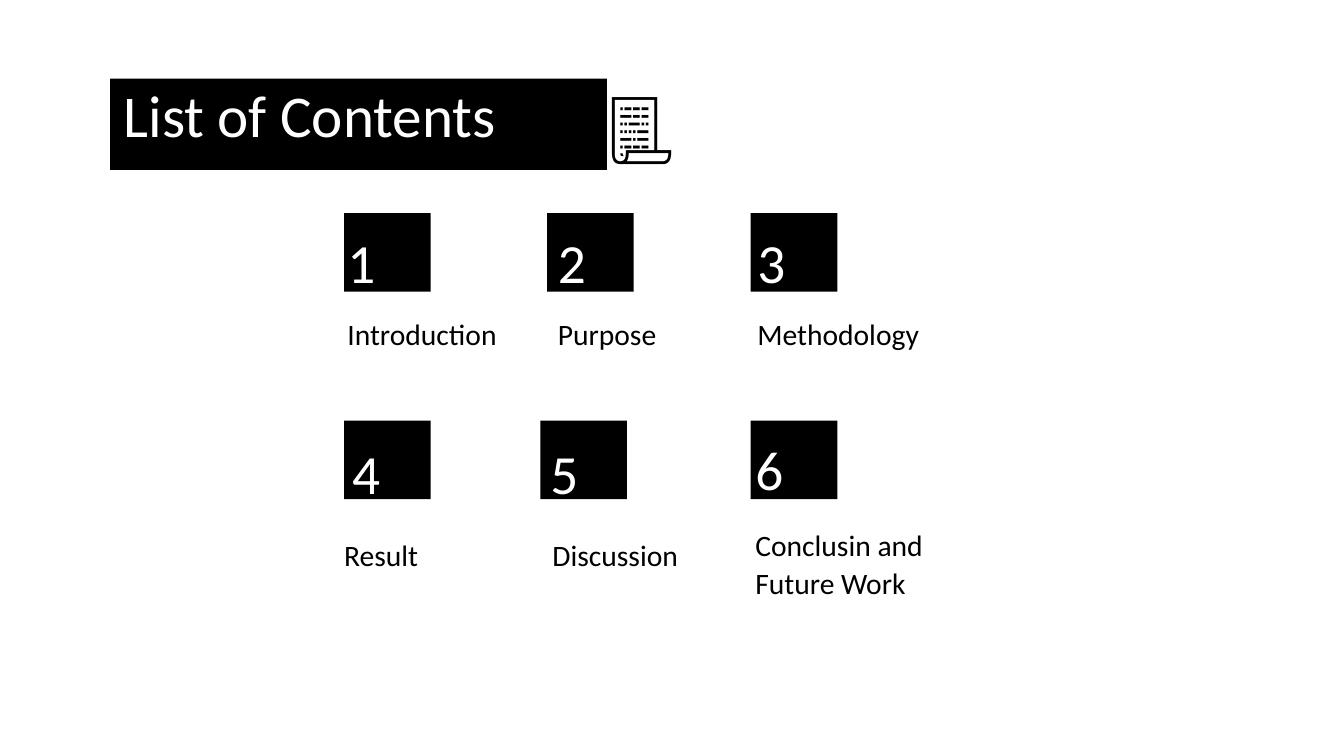
import pptx
import pptx.dml.color
import pptx.enum.shapes
import pptx.enum.text
import pptx.util
from pptx.util import Inches

COLORS = {"ink": "000000", "paper": "FFFFFF"}
FONT = "Calibri"
TILE_SIZE = (1.29, 1.17)

ENTRIES = [
    {"tile": (5.12, 3.17), "number": (0.05, 0.14, 2.72, 1.03),
     "label": (0.05, 1.48, 2.72, 0.53), "lines": ["Introduction"]},
    {"tile": (8.14, 3.17), "number": (0.16, 0.14, 3.38, 1.03),
     "label": (0.16, 1.48, 3.38, 0.53), "lines": ["Purpose"]},
    {"tile": (11.17, 3.17), "number": (0.1, 0.14, 3.2, 1.03),
     "label": (0.1, 1.48, 3.2, 0.53), "lines": ["Methodology"]},
    {"tile": (5.12, 6.26), "number": (0.12, 0.2, 3.2, 1.04),
     "label": (0, 1.68, 3.2, 0.53), "lines": ["Result"]},
    {"tile": (8.04, 6.26), "number": (0.15, 0.2, 1.81, 1.04),
     "label": (0.18, 1.68, 3.2, 0.53), "lines": ["Discussion"]},
    {"tile": (11.17, 6.26), "number": (0.07, 0.13, 1.81, 1.04),
     "label": (0.07, 1.53, 6.79, 1.11), "lines": ["Conclusin and", "Future Work"]},
]


def rgb(name):
    """Return the palette colour with the given name."""
    return pptx.dml.color.RGBColor.from_string(COLORS[name])


def add_block(slide, left, top, width, height):
    """Draw a plain black rectangle."""
    block = slide.shapes.add_shape(
        pptx.enum.shapes.MSO_SHAPE.RECTANGLE,
        Inches(left), Inches(top), Inches(width), Inches(height))
    block.shadow.inherit = False
    block.fill.solid()
    block.fill.fore_color.rgb = rgb("ink")
    block.line.fill.background()


def write(frame, lines, size, leading, color, align=pptx.enum.text.PP_ALIGN.LEFT):
    """Fill a text frame with lines in one style and no margins."""
    frame.text = "\n".join(lines)
    frame.word_wrap = True
    frame.auto_size = pptx.enum.text.MSO_AUTO_SIZE.SHAPE_TO_FIT_TEXT
    frame.vertical_anchor = pptx.enum.text.MSO_ANCHOR.TOP
    frame.margin_left = frame.margin_right = 0
    frame.margin_top = frame.margin_bottom = 0
    for paragraph in frame.paragraphs:
        paragraph.alignment = align
        paragraph.line_spacing = pptx.util.Pt(leading)
        paragraph.space_before = pptx.util.Pt(0)
        paragraph.font.name = FONT
        paragraph.font.size = pptx.util.Pt(size)
        paragraph.font.color.rgb = rgb(color)


def add_text(slide, left, top, width, height, *style):
    """Add a styled text box."""
    box = slide.shapes.add_textbox(
        Inches(left), Inches(top), Inches(width), Inches(height))
    write(box.text_frame, *style)


def add_header(slide, left, top, width, height):
    """Place the black banner, the title on it and the scroll symbol beside it."""
    add_block(slide, left, top, width, height)
    title = slide.shapes.title
    slide.shapes._spTree.append(title._element)
    title.left, title.top = Inches(left + 0.2), Inches(top)
    title.width, title.height = Inches(8.16), Inches(1.05)
    write(title.text_frame, ["List of Contents"], 63.4, 76, "paper")
    add_text(slide, left + 6.92, top - 0.08, 1.75, 1.34,
             [" 📃"], 76.7, 99.7, "ink", pptx.enum.text.PP_ALIGN.CENTER)


def add_entry(slide, left, top, number, entry):
    """Place one numbered tile with its label below."""
    add_block(slide, left, top, *TILE_SIZE)
    x, y, width, height = entry["number"]
    add_text(slide, left + x, top + y, width, height, [str(number)], 59.2, 77, "paper")
    x, y, width, height = entry["label"]
    add_text(slide, left + x, top + y, width, height, entry["lines"], 31.7, 41.3, "ink")


def main():
    """Build the contents slide and save it."""
    deck = pptx.Presentation()
    deck.slide_width, deck.slide_height = Inches(20), Inches(11.25)
    slide = deck.slides.add_slide(deck.slide_layouts.get_by_name("Title Only"))
    slide.background.fill.solid()
    slide.background.fill.fore_color.rgb = rgb("paper")
    add_header(slide, 1.64, 1.17, 7.39, 1.36)
    for number, entry in enumerate(ENTRIES, 1):
        add_entry(slide, *entry["tile"], number, entry)
    deck.save("out.pptx")


if __name__ == "__main__":
    main()
